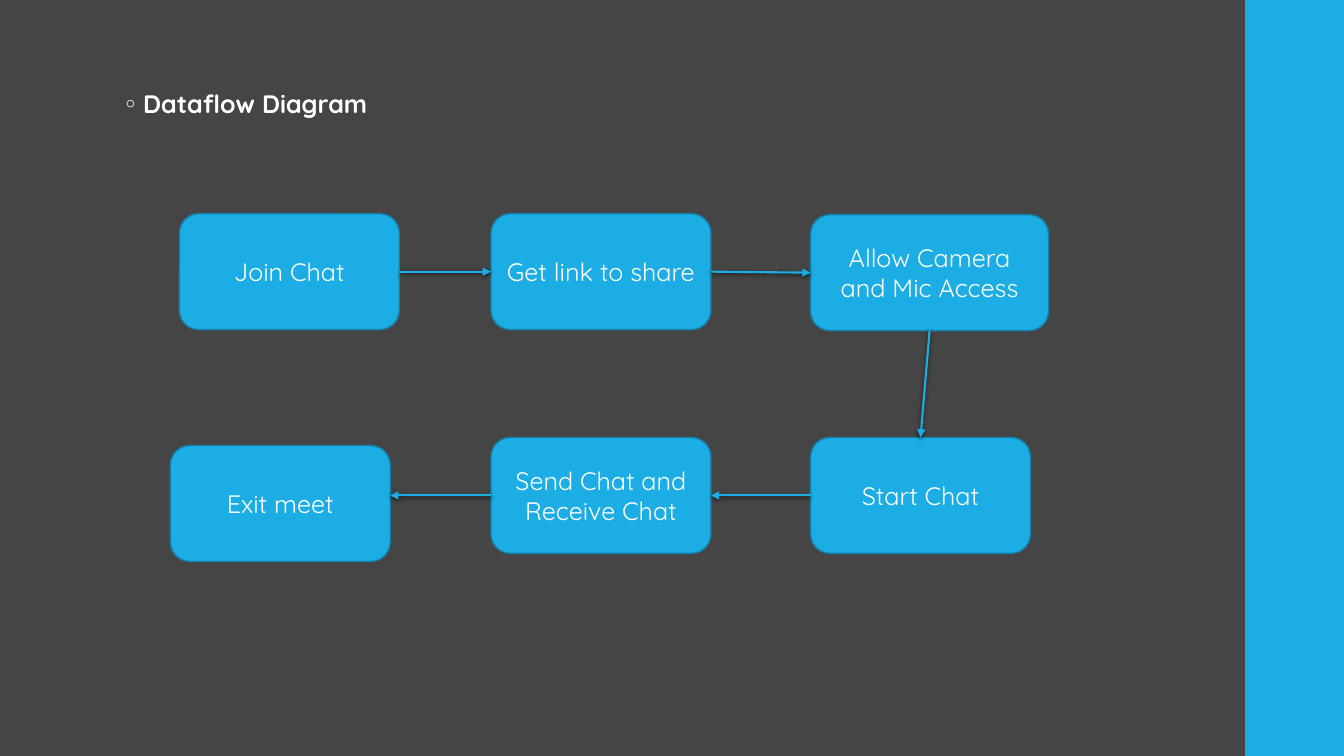
import pptx
import pptx.util
import pptx.oxml
import pptx.oxml.ns
import pptx.dml.color
import pptx.enum.shapes
import pptx.enum.text

CELL = pptx.util.Inches(0.01)
COLS, ROWS = 1333, 750
HUES = {"back": "454545", "blue": "1CADE4", "edge": "1580A9", "text": "FFFFFF", "shade": "000000"}
FONT = {"name": "Quicksand", "size": pptx.util.Pt(18)}
KINDS = pptx.enum.shapes.MSO_SHAPE
ALIGN = pptx.enum.text.PP_ALIGN
ANCHOR = pptx.enum.text.MSO_ANCHOR
FIT = pptx.enum.text.MSO_AUTO_SIZE
NS = pptx.oxml.ns.nsdecls("a")

WIDE, HIGH = 218, 115
STEPS = [
    ("Join Chat", 9, 0, WIDE),
    ("Get link to share", 318, 0, WIDE),
    ("Allow Camera and Mic Access", 635, 1, 236),
    ("Start Chat", 635, 222, WIDE),
    ("Send Chat and Receive Chat", 318, 222, WIDE),
    ("Exit meet", 0, 230, WIDE),
]
TOP, LEFT, BASE, RIGHT = range(4)
LINKS = [(RIGHT, LEFT), (RIGHT, LEFT), (BASE, TOP), (LEFT, RIGHT), (LEFT, None)]


def hue(name):
    return pptx.dml.color.RGBColor.from_string(HUES[name])


def style(item, form):
    for key, value in form.items():
        setattr(item, key, value)


def place(box, left, top, wide, high):
    return [CELL * n for n in (box[0] + left, box[1] + top, wide, high)]


def paint(fill, name):
    fill.solid()
    fill.fore_color.rgb = hue(name)


def write(frame, text, align, bold=False):
    frame.text = text
    para = frame.paragraphs[0]
    para.alignment = align
    font = para.runs[0].font
    style(font, {**FONT, "bold": bold})
    font.color.rgb = hue("text")
    return para


def add_head(slide, box):
    title, body = slide.placeholders
    title.element.getparent().remove(title.element)
    left, top, wide, high = place(box, 0, 0, box[2], box[3])
    style(body, {"left": left, "top": top, "width": wide, "height": high})
    frame = body.text_frame
    style(frame, {"auto_size": FIT.NONE, "vertical_anchor": ANCHOR.TOP, "margin_top": CELL * 47})
    para = write(frame, "Dataflow Diagram", ALIGN.LEFT, True)
    para.space_before = pptx.util.Pt(0)
    props = para._p.get_or_add_pPr()
    props.set("marL", str(CELL * 20))
    props.set("indent", str(-CELL * 20))
    for xml in (
        f'<a:buClr {NS}><a:srgbClr val="{HUES["text"]}"/></a:buClr>',
        f'<a:buFont {NS} typeface="Quicksand"/>',
        f'<a:buChar {NS} char="◦"/>',
    ):
        props.append(pptx.oxml.parse_xml(xml))


def add_band(slide, box):
    band = slide.shapes.add_shape(KINDS.RECTANGLE, *place(box, 0, 0, box[2], box[3]))
    band.shadow.inherit = False
    paint(band.fill, "blue")
    band.line.fill.background()


def add_step(slide, box, text, left, top, wide):
    step = slide.shapes.add_shape(KINDS.ROUNDED_RECTANGLE, *place(box, left, top, wide, HIGH))
    step.shadow.inherit = False
    paint(step.fill, "blue")
    paint(step.line.fill, "edge")
    step.line.width = pptx.util.Pt(1)
    style(step.text_frame, {"word_wrap": True, "vertical_anchor": ANCHOR.MIDDLE})
    write(step.text_frame, text, ALIGN.CENTER)
    return step


def add_link(slide, start, goal, exit, entry):
    kind = pptx.enum.shapes.MSO_CONNECTOR.STRAIGHT
    level = start.top + start.height // 2
    link = slide.shapes.add_connector(kind, start.left, level, goal.left + goal.width, level)
    link.begin_connect(start, exit)
    if entry is not None:
        link.end_connect(goal, entry)
    paint(link.line.fill, "blue")
    link.line.width = pptx.util.Pt(1.5)
    link.line._get_or_add_ln().append(pptx.oxml.parse_xml(f'<a:tailEnd {NS} type="triangle"/>'))
    link._element.spPr.append(pptx.oxml.parse_xml(
        f'<a:effectLst {NS}><a:outerShdw blurRad="38100" dist="12700" dir="5400000">'
        f'<a:srgbClr val="{HUES["shade"]}"><a:alpha val="63000"/></a:srgbClr>'
        '</a:outerShdw></a:effectLst>'
    ))


def add_flow(slide, box):
    steps = [add_step(slide, box, *step) for step in STEPS]
    for start, goal, sites in zip(steps, steps[1:], LINKS):
        add_link(slide, start, goal, *sites)


deck = pptx.Presentation()
style(deck, {"slide_width": CELL * COLS, "slide_height": CELL * ROWS})
slide = deck.slides.add_slide(deck.slide_layouts[1])
paint(slide.background.fill, "back")
add_head(slide, (112, 41, 966, 628))
add_band(slide, (1235, 0, COLS - 1235, ROWS))
add_flow(slide, (169, 212, 871, 345))
deck.save("out.pptx")
